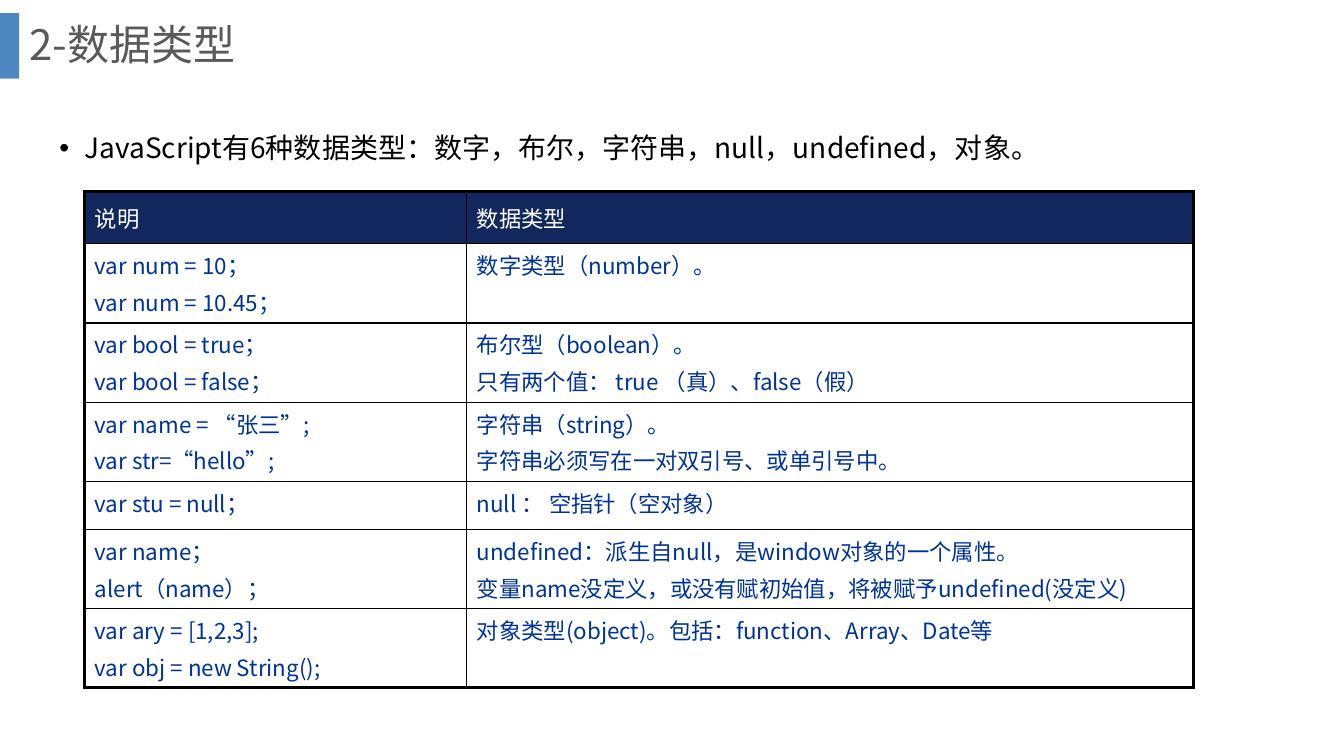
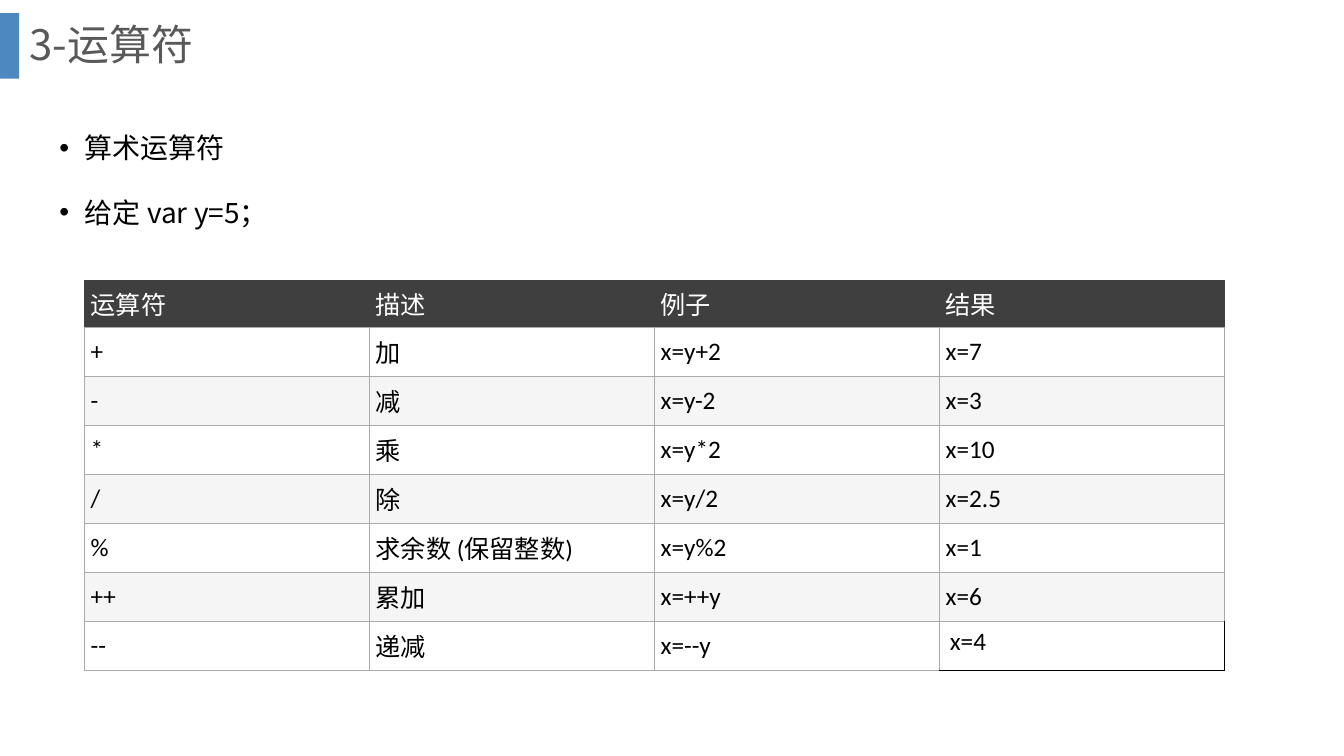
"""Build two JavaScript lesson slides on data types and operators."""
from lxml import etree
from pptx import Presentation
from pptx.dml.color import RGBColor
from pptx.enum.shapes import MSO_SHAPE
from pptx.enum.text import MSO_ANCHOR, MSO_AUTO_SIZE, PP_ALIGN
from pptx.oxml.ns import qn
from pptx.util import Pt

RECTANGLE = MSO_SHAPE.RECTANGLE
LEFT = PP_ALIGN.LEFT
TOP, MIDDLE = MSO_ANCHOR.TOP, MSO_ANCHOR.MIDDLE
FIXED = MSO_AUTO_SIZE.NONE

BLACK = RGBColor(0x00, 0x00, 0x00)
WHITE = RGBColor(0xFF, 0xFF, 0xFF)
BAND_BLUE = RGBColor(0x2E, 0x75, 0xB6)
TITLE_GRAY = RGBColor(0x59, 0x59, 0x59)
NAVY = RGBColor(0x11, 0x27, 0x5E)
CODE_BLUE = RGBColor(0x00, 0x33, 0x99)
CHARCOAL = RGBColor(0x3F, 0x3F, 0x3F)
GRID_GRAY = RGBColor(0xAA, 0xAA, 0xAA)
PALE_GRAY = RGBColor(0xF5, 0xF5, 0xF5)

CJK_FONT = "Noto Sans CJK SC"
LATIN_FONT = "Calibri"
THICK, THIN, HAIRLINE = 2.25, 1, 0.75


class Lesson:
    """Hold the shared style and the current slide."""

    def __init__(self):
        """Set the slide size and place the shared placeholders."""
        self.deck = Presentation()
        self.deck.slide_width, self.deck.slide_height = Pt(960), Pt(540)
        self.layout = self.deck.slide_layouts[1]
        title, body = self.layout.placeholders[0], self.layout.placeholders[1]
        self.place(title, 13.7, 0, 911.5, 67)
        self.place(body, 35.3, 77.8, 889.2, 417.6)
        self.page = None

    def place(self, box, left, top, width, height):
        """Move and size a box."""
        box.left, box.top = Pt(left), Pt(top)
        box.width, box.height = Pt(width), Pt(height)

    def start_page(self, title):
        """Add a slide with its title; the first one also sets up the band."""
        self.page = self.deck.slides.add_slide(self.layout)
        if len(self.deck.slides) == 1:
            self.add_band()
        frame = self.page.shapes.title.text_frame
        frame.vertical_anchor, frame.auto_size = MIDDLE, FIXED
        for para in self.fill_text(frame, [title], 30, TITLE_GRAY):
            para.line_spacing = 0.9

    def add_band(self):
        """Draw the translucent band and hand it to the layout."""
        band = self.page.shapes.add_shape(RECTANGLE, 0, Pt(9.4), Pt(13.7), Pt(46.8))
        band.shadow.inherit = False
        band.fill.solid()
        band.fill.fore_color.rgb = BAND_BLUE
        band.line.fill.background()
        color = band.element.spPr.find(".//" + qn("a:srgbClr"))
        etree.SubElement(color, qn("a:alpha"), val="85000")
        self.layout.shapes.element.append(band.element)

    def fill_text(self, frame, lines, size, color, font=CJK_FONT):
        """Fill a text frame with one paragraph per line."""
        frame.text = "\n".join(lines)
        for para in frame.paragraphs:
            para.alignment = LEFT
            for span in para.runs:
                span.font.name, span.font.size = font, Pt(size)
                span.font.color.rgb = color
                latin = span._r.find(".//" + qn("a:latin"))
                latin.addnext(latin.makeelement(qn("a:ea"), typeface=CJK_FONT))
        return frame.paragraphs

    def add_list(self, lines):
        """Fill the body placeholder with bulleted lines."""
        frame = self.page.placeholders[1].text_frame
        frame.auto_size = FIXED
        for para in self.fill_text(frame, lines, 20, BLACK):
            para.line_spacing, para.space_before = 1.5, Pt(10)
            properties = para._p.get_or_add_pPr()
            properties.set("marL", str(Pt(18)))
            properties.set("indent", str(Pt(-18)))
            etree.SubElement(properties, qn("a:buChar"), char="•")

    def add_table(self, left, top, widths, heights):
        """Add a table without the banded style."""
        frame = self.page.shapes.add_table(
            len(heights), len(widths), Pt(left), Pt(top), Pt(sum(widths)), Pt(sum(heights)))
        table = frame.table
        table.first_row = table.horz_banding = False
        for column, width in zip(table.columns, widths):
            column.width = Pt(width)
        for row, height in zip(table.rows, heights):
            row.height = Pt(height)
        return table

    def format_cell(self, cell, fill, anchor, margins, borders):
        """Set fill, anchor, margins and the left, right, top, bottom borders."""
        cell.fill.solid()
        cell.fill.fore_color.rgb = fill
        cell.vertical_anchor = anchor
        cell.margin_left, cell.margin_top, cell.margin_right, cell.margin_bottom = map(Pt, margins)
        properties = cell._tc.get_or_add_tcPr()
        for index, (side, (color, weight)) in enumerate(zip("LRTB", borders)):
            line = properties.makeelement(qn("a:ln" + side), w=str(Pt(weight)))
            solid = etree.SubElement(line, qn("a:solidFill"))
            etree.SubElement(solid, qn("a:srgbClr"), val=str(color))
            properties.insert(index, line)

    def add_type_table(self, rows):
        """Add the table of data types, framed by a thick outline."""
        heights = [37.4] + [56.5] * 3 + [34.5] + [56.5] * 2
        table = self.add_table(60.5, 136.8, [272.9, 519.1], heights)
        last = len(rows) - 1
        for r, row in enumerate(rows):
            for c, lines in enumerate(row):
                cell = table.cell(r, c)
                color = CODE_BLUE if r else WHITE
                for para in self.fill_text(cell.text_frame, lines, 16, color):
                    para.space_before = Pt(3.2)
                outer = (c == 0, c == 1, r == 0, r == last)
                borders = [(BLACK, THICK if edge else THIN) for edge in outer]
                self.format_cell(cell, WHITE if r else NAVY, TOP if r else MIDDLE,
                                 (7.2, 3.6, 7.2, 3.6), borders)

    def add_operator_table(self, rows):
        """Add the table of operators with striped rows."""
        table = self.add_table(60.5, 200.2, [203.6] * 4, [33.5] + [35] * 7)
        last = (len(rows) - 1, 3)
        for r, row in enumerate(rows):
            for c, text in enumerate(row):
                cell = table.cell(r, c)
                self.fill_text(cell.text_frame, [text], 18, BLACK if r else WHITE, LATIN_FONT)
                fill = (PALE_GRAY, WHITE)[r % 2] if r else CHARCOAL
                colors = [GRID_GRAY] * 4 if r else [CHARCOAL] * 3 + [GRID_GRAY]
                padding = 4.3 if r else 3.6
                anchor, margins = MIDDLE, (4.3, padding, 11.5, padding)
                if (r, c) == last:
                    anchor, margins = TOP, (7.2, 3.6, 7.2, 3.6)
                    colors = [GRID_GRAY, BLACK, GRID_GRAY, BLACK]
                borders = [(color, HAIRLINE) for color in colors]
                self.format_cell(cell, fill, anchor, margins, borders)


TYPES = [
    (["说明"], ["数据类型"]),
    (["var num = 10；", "var num = 10.45；"], ["数字类型（number）。"]),
    (["var bool = true；", "var bool = false；"],
     ["布尔型（boolean）。", "只有两个值： true （真）、false（假）"]),
    (["var name = “张三”;", "var str=“hello”;"],
     ["字符串（string）。", "字符串必须写在一对双引号、或单引号中。"]),
    (["var stu = null；"], ["null ： 空指针（空对象）"]),
    (["var name；", "alert（name）；"],
     ["undefined：派生自null，是window对象的一个属性。",
      "变量name没定义，或没有赋初始值，将被赋予undefined(没定义)"]),
    (["var ary = [1,2,3];", "var obj = new String();"],
     ["对象类型(object)。包括：function、Array、Date等"]),
]
OPERATORS = [
    ("运算符", "描述", "例子", "结果"),
    ("+", "加", "x=y+2", "x=7"),
    ("-", "减", "x=y-2", "x=3"),
    ("*", "乘", "x=y*2", "x=10"),
    ("/", "除", "x=y/2", "x=2.5"),
    ("%", "求余数 (保留整数)", "x=y%2", "x=1"),
    ("++", "累加", "x=++y", "x=6"),
    ("--", "递减", "x=--y", "x=4"),
]

lesson = Lesson()
lesson.start_page("2-数据类型")
lesson.add_list(["JavaScript有6种数据类型：数字，布尔，字符串，null，undefined，对象。"])
lesson.add_type_table(TYPES)

lesson.start_page("3-运算符")
lesson.add_list(["算术运算符", "给定\u00a0var y=5；"])
lesson.add_operator_table(OPERATORS)

lesson.deck.save("out.pptx")
